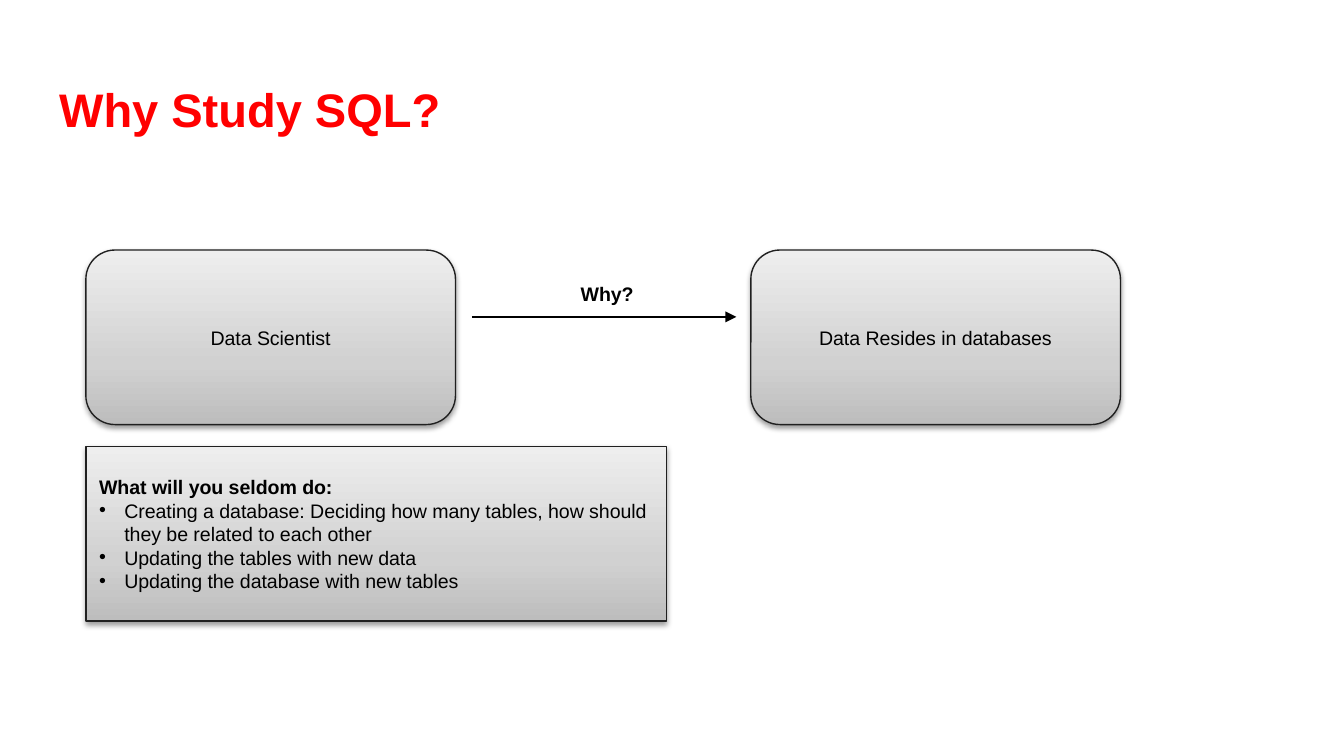
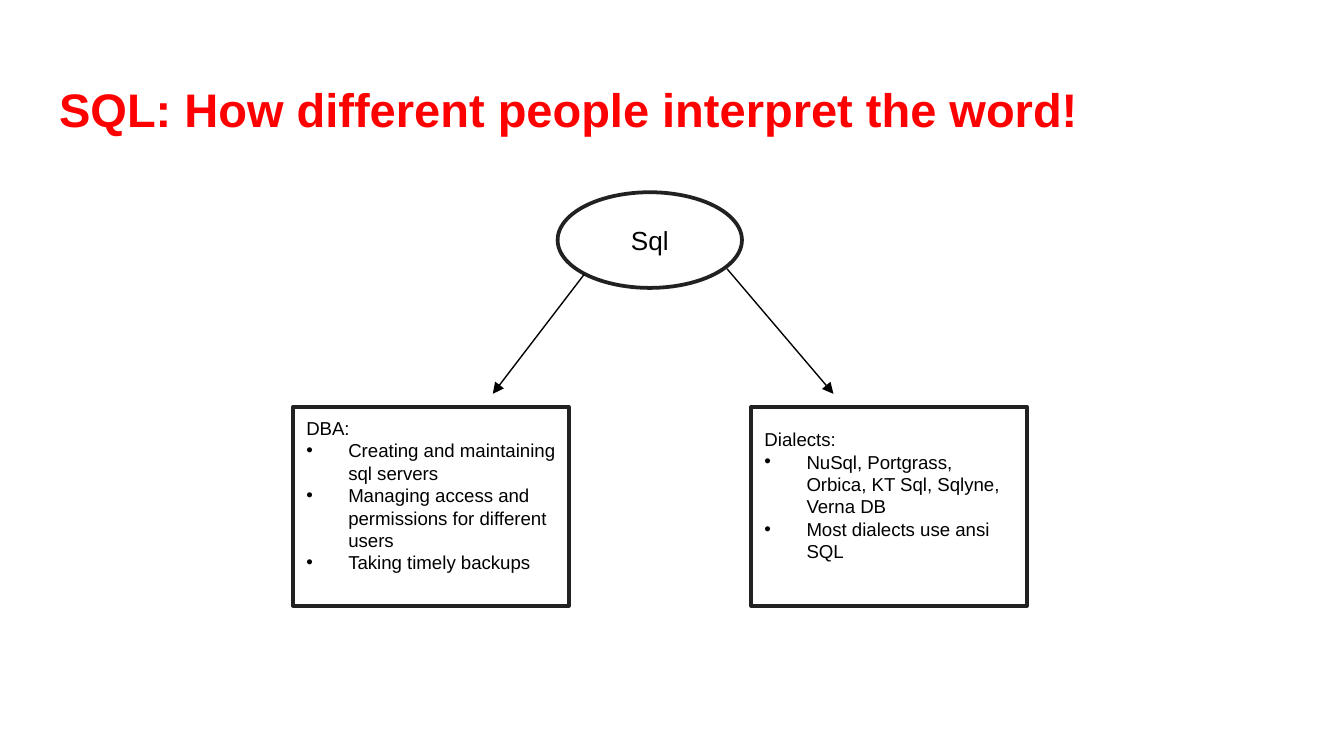
from copy import deepcopy

from lxml.etree import SubElement
from pptx import Presentation
from pptx.dml.color import RGBColor
from pptx.enum.shapes import MSO_CONNECTOR as Connector, MSO_SHAPE as Shape
from pptx.enum.text import MSO_ANCHOR as Anchor, MSO_AUTO_SIZE as AutoSize, PP_ALIGN as Align
from pptx.oxml.ns import qn
from pptx.util import Pt

RED = RGBColor(0xFF, 0x00, 0x00)
BLACK = RGBColor(0x00, 0x00, 0x00)
WHITE = RGBColor(0xFF, 0xFF, 0xFF)
CARD_LINE = RGBColor(0x20, 0x20, 0x20)
OUTLINE = RGBColor(0x21, 0x21, 0x21)
CARD_STOPS = [
    (0, RGBColor(0xBD, 0xBD, 0xBD)),
    (0.35, RGBColor(0xD1, 0xD1, 0xD1)),
    (1, RGBColor(0xEE, 0xEE, 0xEE)),
]
FONT = "Arial"

WHY_TITLE = "Why Study SQL?"
ROLES = ["Data Scientist", "Data Resides in databases"]
ARROW_LABEL = "Why?"
SELDOM_HEADING = "What will you seldom do:"
SELDOM_TASKS = [
    "Creating a database: Deciding how many tables, how should they be related to each other",
    "Updating the tables with new data",
    "Updating the database with new tables",
]

MEANING_TITLE = "SQL: How different people interpret the word!"
ROOT = "Sql"
MEANINGS = [
    ("DBA:", [
        "Creating and maintaining sql servers",
        "Managing access and permissions for different users",
        "Taking timely backups",
    ]),
    ("Dialects:", [
        "NuSql, Portgrass, Orbica, KT Sql, Sqlyne, Verna DB",
        "Most dialects use ansi SQL",
    ]),
]
BRANCHES = [((313, 147), (264, 211)), ((389.5, 144), (446.5, 211))]

TITLE_BOX = (24.5, 35.25, 671, 45.5)
CARD_LEFT, CARD_TOP, CARD_WIDTH, CARD_HEIGHT = 46, 134, 198, 93.5
CARD_STEP = 356.25
NOTE_TOP, NOTE_WIDTH = 239.25, 311
MEANING_LEFT, MEANING_TOP, MEANING_WIDTH, MEANING_HEIGHT = 157, 218, 147.75, 106.5
MEANING_STEP = 245.5


def style_runs(para, size, color=BLACK, bold=False):
    for span in para.runs:
        span.font.name = FONT
        span.font.size = Pt(size)
        span.font.bold = bold
        span.font.color.rgb = color


def add_page(deck, title):
    page = deck.slides.add_slide(deck.slide_layouts[5])
    box = page.shapes.title
    box.left, box.top, box.width, box.height = map(Pt, TITLE_BOX)
    frame = box.text_frame
    frame.text = title
    frame.auto_size = AutoSize.NONE
    frame.vertical_anchor = Anchor.MIDDLE
    frame.paragraphs[0].alignment = Align.LEFT
    style_runs(frame.paragraphs[0], 25.2, RED, True)
    return page


def add_box(page, kind, bounds, line_color, line_width):
    box = page.shapes.add_shape(kind, *map(Pt, bounds))
    box.shadow.inherit = False
    box.fill.solid()
    box.fill.fore_color.rgb = WHITE
    box.line.color.rgb = line_color
    box.line.width = Pt(line_width)
    box.text_frame.vertical_anchor = Anchor.MIDDLE
    return box


def add_card(page, kind, bounds):
    box = add_box(page, kind, bounds, CARD_LINE, 0.75)
    box.fill.gradient()
    box.fill.gradient_angle = 90
    properties = box._element.spPr
    stop_list = properties.find(qn("a:gradFill")).find(qn("a:gsLst"))
    stop_list.insert(1, deepcopy(stop_list[0]))
    for stop, (position, color) in zip(box.fill.gradient_stops, CARD_STOPS):
        stop.position = position
        stop.color.rgb = color
    shadow = SubElement(properties.find(qn("a:effectLst")), qn("a:outerShdw"),
                        blurRad=str(Pt(3.1)), dist=str(Pt(1.6)), dir="5400000", rotWithShape="0")
    tint = SubElement(shadow, qn("a:srgbClr"), val=str(BLACK))
    SubElement(tint, qn("a:alpha"), val="38000")
    return box


def write_label(box, text, size):
    box.text_frame.text = text
    para = box.text_frame.paragraphs[0]
    para.alignment = Align.CENTER
    style_runs(para, size)


def write_list(box, heading, items, size, indent, bold_heading=False):
    frame = box.text_frame
    frame.text = "\n".join([heading, *items])
    for index, para in enumerate(frame.paragraphs):
        para.alignment = Align.LEFT
        style_runs(para, size, bold=bold_heading and index == 0)
        if index:
            settings = para._p.get_or_add_pPr()
            settings.set("marL", str(Pt(indent)))
            settings.set("indent", str(-Pt(indent)))
            bullet_color = SubElement(settings, qn("a:buClr"))
            SubElement(bullet_color, qn("a:srgbClr"), val=str(BLACK))
            SubElement(settings, qn("a:buFont"), typeface=FONT)
            SubElement(settings, qn("a:buChar"), char="•")


def add_arrow(page, start, end):
    arrow = page.shapes.add_connector(Connector.STRAIGHT, *map(Pt, (*start, *end)))
    arrow.line.color.rgb = BLACK
    arrow.line.width = Pt(0.75)
    SubElement(arrow.line._get_or_add_ln(), qn("a:tailEnd"), type="triangle")
    SubElement(arrow._element.spPr, qn("a:effectLst"))


def build_why_page(deck):
    page = add_page(deck, WHY_TITLE)
    for index, role in enumerate(ROLES):
        left = CARD_LEFT + index * CARD_STEP
        card = add_card(page, Shape.ROUNDED_RECTANGLE, (left, CARD_TOP, CARD_WIDTH, CARD_HEIGHT))
        write_label(card, role, 10.5)
    add_arrow(page, (252.75, 169.75), (394.5, 169.75))
    label = page.shapes.add_textbox(*map(Pt, (304, 147.5, 53.25, 20)))
    frame = label.text_frame
    frame.word_wrap = True
    frame.auto_size = AutoSize.SHAPE_TO_FIT_TEXT
    frame.text = ARROW_LABEL
    style_runs(frame.paragraphs[0], 10.5, bold=True)
    note = add_card(page, Shape.RECTANGLE, (CARD_LEFT, NOTE_TOP, NOTE_WIDTH, CARD_HEIGHT))
    write_list(note, SELDOM_HEADING, SELDOM_TASKS, 10.5, 13.5, True)


def build_meaning_page(deck):
    page = add_page(deck, MEANING_TITLE)
    root = add_box(page, Shape.OVAL, (298.75, 103, 98.75, 51.25), OUTLINE, 2)
    write_label(root, ROOT, 14)
    for start, end in BRANCHES:
        add_arrow(page, start, end)
    for index, (heading, items) in enumerate(MEANINGS):
        left = MEANING_LEFT + index * MEANING_STEP
        bounds = (left, MEANING_TOP, MEANING_WIDTH, MEANING_HEIGHT)
        box = add_box(page, Shape.RECTANGLE, bounds, OUTLINE, 2)
        box.text_frame.margin_bottom = Pt(15.5)
        write_list(box, heading, items, 10, 22.5)


def main():
    deck = Presentation()
    deck.slide_width, deck.slide_height = Pt(720), Pt(405)
    build_why_page(deck)
    build_meaning_page(deck)
    deck.save("out.pptx")


if __name__ == "__main__":
    main()
